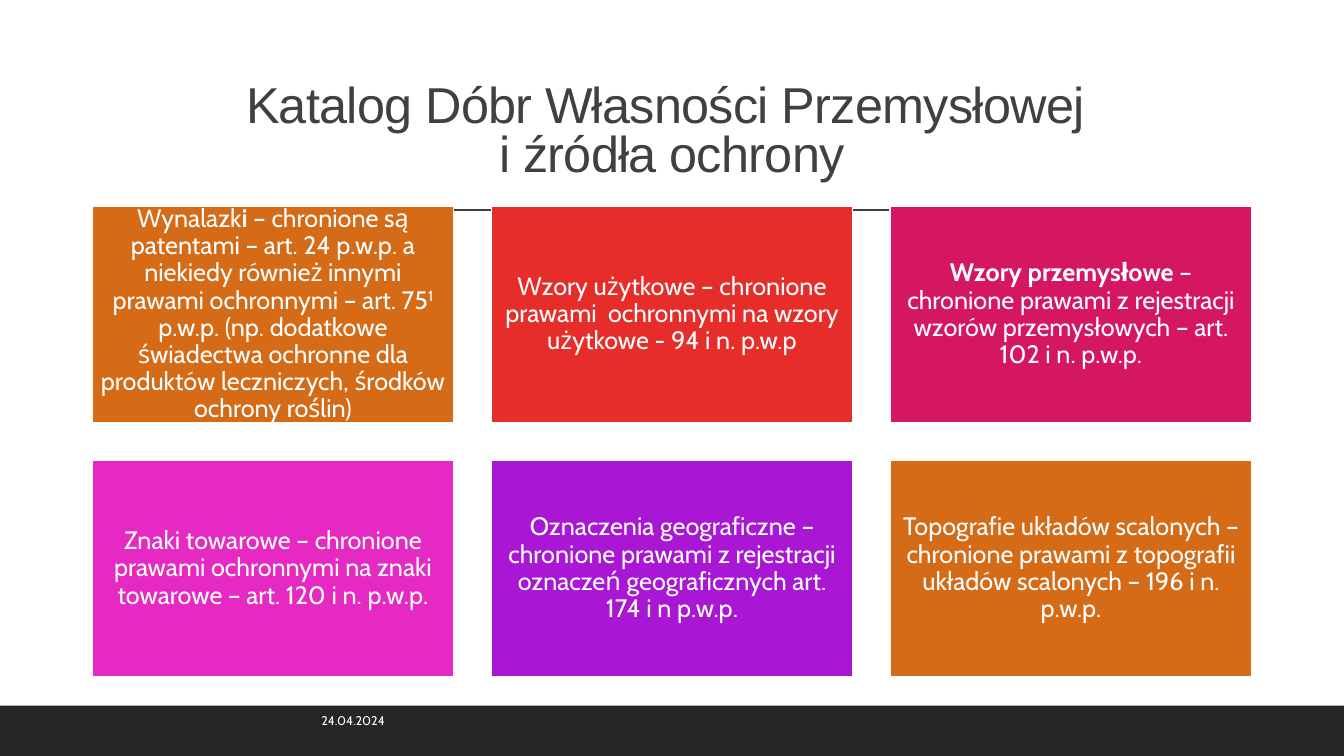
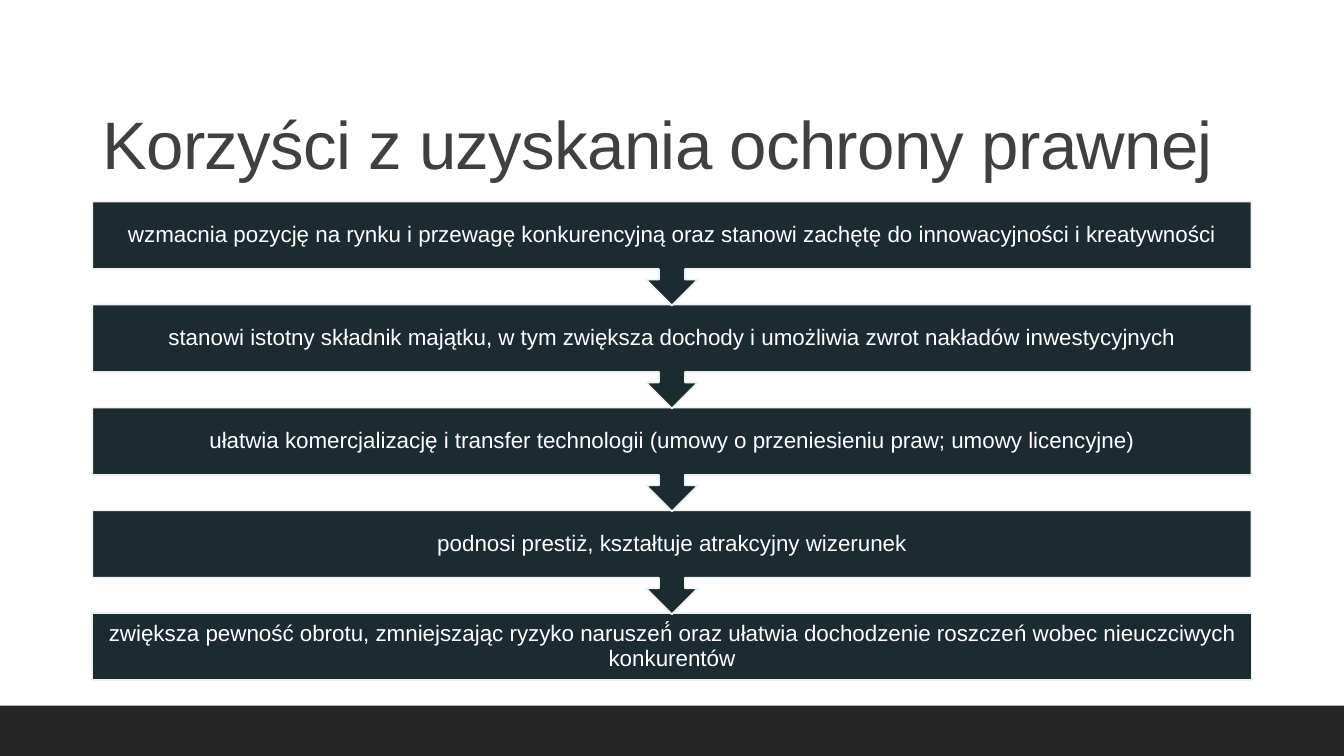
from dataclasses import dataclass

from lxml.etree import SubElement
from pptx import Presentation
from pptx.dml.color import RGBColor
from pptx.enum.shapes import MSO_CONNECTOR as Connector, MSO_SHAPE as Shape
from pptx.enum.text import MSO_ANCHOR as Anchor, PP_ALIGN as Align
from pptx.oxml.ns import qn
from pptx.util import Emu, Pt


@dataclass(frozen=True)
class Theme:
    ink: str = "404040"
    band: str = "262626"
    white: str = "FFFFFF"
    step: str = "1B2B30"
    step_edge: str = "F0F1F3"
    cards: tuple = ("D56A17", "E72D29", "D51763", "E729C4", "A917D5", "D56A17")
    heading_font: str = "Arial"
    body_font: str = "Cabin"
    title_size: int = 48
    long_title_size: int = 36
    card_size: int = 18
    step_size: int = 16
    date_size: int = 9
    edge_width: float = 1.25


THEME = Theme()
EMU_PER_PX = 9525
SLIDE_W, SLIDE_H = 1280, 720
MARGIN = 88
CONTENT_W = SLIDE_W - 2 * MARGIN

CARDS = [
    [("Wynalazk", ""), ("i", "bold"),
     (" – chronione są patentami – art. 24 p.w.p. a niekiedy również innymi "
      "prawami ochronnymi – art. 75", ""),
     ("1", "super"),
     (" p.w.p. (np. dodatkowe świadectwa ochronne dla produktów leczniczych, "
      "środków ochrony roślin)", "")],
    [("Wzory użytkowe – chronione prawami  ochronnymi na wzory użytkowe - "
      "94 i n. p.w.p", "")],
    [("Wzory przemysłowe ", "bold"),
     ("– chronione prawami z rejestracji wzorów przemysłowych – art. 102 i n. "
      "p.w.p.", "")],
    [("Znaki towarowe – chronione prawami ochronnymi na znaki towarowe – "
      "art. 120 i n. p.w.p.", "")],
    [("Oznaczenia geograficzne – chronione prawami z rejestracji oznaczeń "
      "geograficznych art. 174 i n p.w.p.", "")],
    [("Topografie układów scalonych – chronione prawami z topografii układów "
      "scalonych – 196 i n. p.w.p.", "")],
]

BENEFITS = [
    "wzmacnia pozycję na rynku i przewagę konkurencyjną oraz stanowi zachętę "
    "do innowacyjności i kreatywności",
    "stanowi istotny składnik majątku, w tym zwiększa dochody i umożliwia "
    "zwrot nakładów inwestycyjnych",
    "ułatwia komercjalizację i transfer technologii (umowy o przeniesieniu "
    "praw; umowy licencyjne)",
    "podnosi prestiż, kształtuje atrakcyjny wizerunek",
    "zwiększa pewność obrotu, zmniejszając ryzyko naruszeń́ oraz ułatwia "
    "dochodzenie roszczeń wobec nieuczciwych konkurentów",
]


def px(*lengths):
    return [Emu(length * EMU_PER_PX) for length in lengths]


def rgb(color):
    return RGBColor.from_string(color)


def style_paragraph(paragraph, font, size, color, align, spacing=1.0):
    paragraph.alignment = align
    paragraph.line_spacing = spacing
    paragraph.font.name = font
    paragraph.font.size = Pt(size)
    paragraph.font.color.rgb = rgb(color)


def add_block(slide, kind, box, fill, edge=None):
    block = slide.shapes.add_shape(kind, *px(*box))
    block.shadow.inherit = False
    block.fill.solid()
    block.fill.fore_color.rgb = rgb(fill)
    if edge:
        block.line.color.rgb = rgb(edge)
        block.line.width = Pt(THEME.edge_width)
    else:
        block.line.fill.background()
    return block


def set_frame(frame, anchor, inset=None):
    frame.word_wrap = True
    frame.vertical_anchor = anchor
    if inset is not None:
        frame.margin_left, frame.margin_top, frame.margin_right, frame.margin_bottom = px(*[inset] * 4)


def add_label(slide, box, anchor):
    frame = slide.shapes.add_textbox(*px(*box)).text_frame
    set_frame(frame, anchor)
    return frame.paragraphs[0]


def add_title(slide, text, size, align):
    title = add_label(slide, (MARGIN, 59, CONTENT_W, 119), Anchor.BOTTOM)
    title.text = text
    style_paragraph(title, THEME.heading_font, size, THEME.ink, align, 0.8)
    for run in title.runs:
        run.font._element.set("spc", "-50")


def add_date(slide, text):
    date = add_label(slide, (MARGIN, 667, 288, 38), Anchor.MIDDLE)
    date.text = text
    style_paragraph(date, THEME.body_font, THEME.date_size, THEME.white, Align.RIGHT)


def add_rule(slide):
    rule = slide.shapes.add_connector(Connector.STRAIGHT, *px(126, 200, 1172, 200))
    rule.line.color.rgb = rgb(THEME.ink)
    rule.line.width = Pt(1)
    SubElement(rule._element.spPr, qn("a:effectLst"))


def add_base_slide(deck, title, size, align):
    slide = deck.slides.add_slide(deck.slide_layouts[6])
    add_block(slide, Shape.RECTANGLE, (0, 672, SLIDE_W, 48), THEME.band)
    add_rule(slide)
    add_title(slide, title, size, align)
    return slide


def add_card(slide, box, fill, pieces):
    card = add_block(slide, Shape.RECTANGLE, box, fill, THEME.white)
    set_frame(card.text_frame, Anchor.MIDDLE, 7)
    paragraph = card.text_frame.paragraphs[0]
    style_paragraph(paragraph, THEME.body_font, THEME.card_size, THEME.white, Align.CENTER, 0.9)
    for text, emphasis in pieces:
        run = paragraph.add_run()
        run.text = text
        if emphasis == "bold":
            run.font.bold = True
        elif emphasis == "super":
            run.font._element.set("baseline", "30000")


def add_card_grid(slide):
    columns, width, height, pitch_y = 3, 344, 207, 242
    pitch_x = (CONTENT_W - width) // (columns - 1)
    for index, (fill, pieces) in enumerate(zip(THEME.cards, CARDS)):
        row, column = divmod(index, columns)
        box = (MARGIN + column * pitch_x, 196 + row * pitch_y, width, height)
        add_card(slide, box, fill, pieces)


def add_step(slide, kind, box, text):
    step = add_block(slide, kind, box, THEME.step, THEME.step_edge)
    set_frame(step.text_frame, Anchor.MIDDLE, 12)
    paragraph = step.text_frame.paragraphs[0]
    paragraph.text = text
    style_paragraph(paragraph, THEME.heading_font, THEME.step_size, THEME.white, Align.CENTER, 0.9)


def add_step_flow(slide):
    last = len(BENEFITS) - 1
    for index, text in reversed(list(enumerate(BENEFITS))):
        kind, height = (Shape.RECTANGLE, 64) if index == last else (Shape.DOWN_ARROW_CALLOUT, 99)
        add_step(slide, kind, (MARGIN, 192 + index * 98, CONTENT_W, height), text)


def main():
    deck = Presentation()
    deck.slide_width, deck.slide_height = px(SLIDE_W, SLIDE_H)

    catalogue = add_base_slide(
        deck, "Katalog Dóbr Własności Przemysłowej \vi źródła ochrony",
        THEME.long_title_size, Align.CENTER)
    add_date(catalogue, "24.04.2024")
    add_card_grid(catalogue)

    benefits = add_base_slide(
        deck, "Korzyści z uzyskania ochrony prawnej", THEME.title_size, Align.LEFT)
    add_step_flow(benefits)

    deck.save("out.pptx")


if __name__ == "__main__":
    main()
